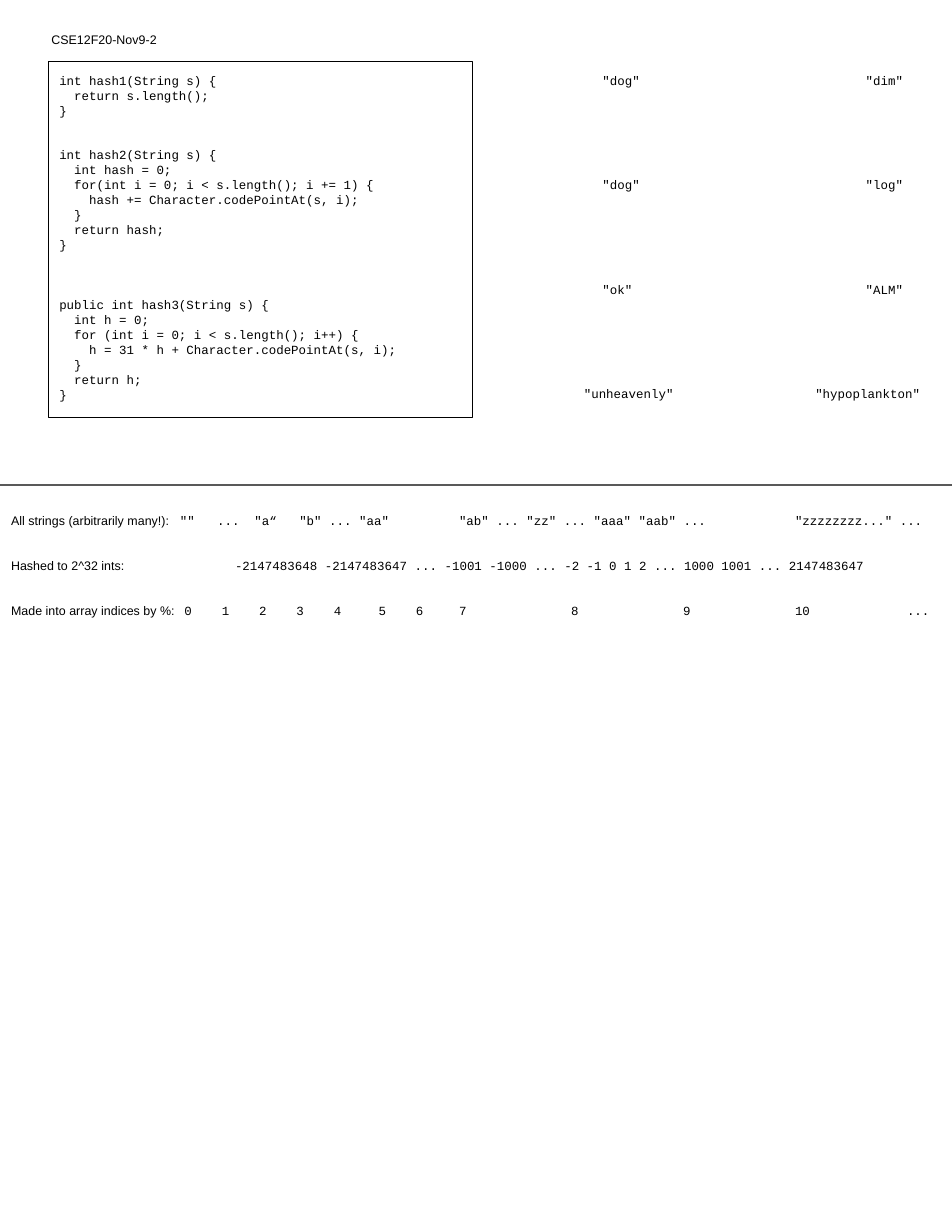
"""Build a one-page worksheet on string hash functions."""
from dataclasses import dataclass

import pptx
import pptx.dml.color
import pptx.enum.shapes
import pptx.enum.text
import pptx.oxml
import pptx.oxml.ns
import pptx.util
from lxml import etree

Pt = pptx.util.Pt
BLACK = pptx.dml.color.RGBColor(0x00, 0x00, 0x00)
GRAY = pptx.dml.color.RGBColor(0x59, 0x59, 0x59)
SANS, MONO = "Arial", "Courier New"
SIZE, PITCH, INSET = 8, 9.6, 7.2

HASH1 = """int hash1(String s) {
  return s.length();
}"""
HASH2 = """int hash2(String s) {
  int hash = 0;
  for(int i = 0; i < s.length(); i += 1) {
    hash += Character.codePointAt(s, i);
  }
  return hash;
}"""
HASH3 = """public int hash3(String s) {
  int h = 0;
  for (int i = 0; i < s.length(); i++) {
    h = 31 * h + Character.codePointAt(s, i);
  }
  return h;
}"""


@dataclass(frozen=True)
class Line:
    runs: tuple[tuple[str, str], ...]
    gap: int = 0
    tabs: tuple[float, ...] = ()


@dataclass(frozen=True)
class Box:
    left: float
    top: float
    width: float
    height: float
    lines: list[Line]
    outlined: bool = False


def code_lines(code: str, gap: int) -> list[Line]:
    return [Line(((text, MONO),), 0 if i else gap)
            for i, text in enumerate(code.split("\n"))]


def pair_line(first: str, second: str, tabs: tuple[float, ...], gap: int) -> Line:
    return Line(((f'\t"{first}"\t"{second}"', MONO),), gap, tabs)


def mapping_line(label: str, items: list[str], tabs: tuple[float, ...], gap: int) -> Line:
    return Line(((label, SANS), ("\t" + "\t".join(items), MONO)), gap, tabs)


def write_line(p, line: Line) -> None:
    p.line_spacing = Pt(PITCH)
    p.space_before = Pt(line.gap * PITCH)
    if line.tabs:
        qn = pptx.oxml.ns.qn
        tab_list = etree.SubElement(p._p.get_or_add_pPr(), qn("a:tabLst"))
        for pos in line.tabs:
            etree.SubElement(tab_list, qn("a:tab"), pos=str(Pt(pos)), algn="l")
    for text, name in line.runs:
        r = p.add_run()
        r.text = text
        for key, value in {"name": name, "size": Pt(SIZE)}.items():
            setattr(r.font, key, value)
        r.font.color.rgb = BLACK


def draw_box(s, box: Box) -> None:
    bounds = [Pt(v) for v in (box.left, box.top, box.width, box.height)]
    if box.outlined:
        sp = s.shapes.add_shape(pptx.enum.shapes.MSO_SHAPE.RECTANGLE, *bounds)
        sp.shadow.inherit = False
        sp.fill.background()
        sp.line.color.rgb = BLACK
        sp.line.width = Pt(0.75)
    else:
        sp = s.shapes.add_textbox(*bounds)
    tf = sp.text_frame
    margins = {f"margin_{side}": Pt(INSET) for side in ("left", "top", "right", "bottom")}
    layout = {"word_wrap": True, "vertical_anchor": pptx.enum.text.MSO_ANCHOR.TOP}
    for key, value in (margins | layout).items():
        setattr(tf, key, value)
    for i, line in enumerate(box.lines):
        p = tf.add_paragraph() if i else tf.paragraphs[0]
        p.alignment = pptx.enum.text.PP_ALIGN.LEFT
        write_line(p, line)


def draw_rule(s, x1: float, x2: float, y: float) -> None:
    kind = pptx.enum.shapes.MSO_CONNECTOR.STRAIGHT
    cxn = s.shapes.add_connector(kind, Pt(x1), Pt(y), Pt(x2), Pt(y))
    cxn.line.color.rgb = GRAY
    cxn.line.width = Pt(0.75)
    etree.SubElement(cxn._element.spPr, pptx.oxml.ns.qn("a:effectLst"))


def main() -> None:
    prs = pptx.Presentation()
    prs.slide_width, prs.slide_height = Pt(612), Pt(792)
    s = prs.slides.add_slide(prs.slide_layouts[6])

    short_tabs, long_tabs = (36, 205.2), (24, 172.8)
    pairs = [("dog", "dim", short_tabs), ("dog", "log", short_tabs),
             ("ok", "ALM", short_tabs), ("unheavenly", "hypoplankton", long_tabs)]
    index_tabs = (*(111.5 + 24 * i for i in range(5)), 236.3, 260.3,
                  *(288 + 72 * i for i in range(5)))
    mappings = [
        ("All strings (arbitrarily many!):",
         ['""', "...", '"a“', '"b" ... "aa"', '"ab" ... "zz" ... "aaa" "aab" ...',
          '"zzzzzzzz..." ...'],
         (108.5, 132.5, 156.5, 185.3, 288, 504)),
        ("Hashed to 2^32 ints:",
         ["-2147483648 -2147483647 ... -1001 -1000 ... -2 -1 0 1 2 ... "
          "1000 1001 ... 2147483647"], (144,)),
        ("Made into array indices by %:", [*map(str, range(11)), "..."], index_tabs),
    ]

    title = [Line((("CSE12F20-Nov9-2", SANS),))]
    code = code_lines(HASH1, 0) + code_lines(HASH2, 2) + code_lines(HASH3, 3)
    examples = [pair_line(*pair, 6 if i else 0) for i, pair in enumerate(pairs)]
    stages = [mapping_line(*row, 2 if i else 0) for i, row in enumerate(mappings)]

    draw_box(s, Box(25.9, 15.8, 141, 23.8, title))
    draw_box(s, Box(31, 39.6, 272.9, 229, code, outlined=True))
    draw_box(s, Box(344.2, 39.6, 255.6, 229, examples))
    draw_rule(s, -0.7, 612.7, 311.8)
    draw_box(s, Box(0, 322.6, 612.7, 85, stages))
    prs.save("out.pptx")


if __name__ == "__main__":
    main()
